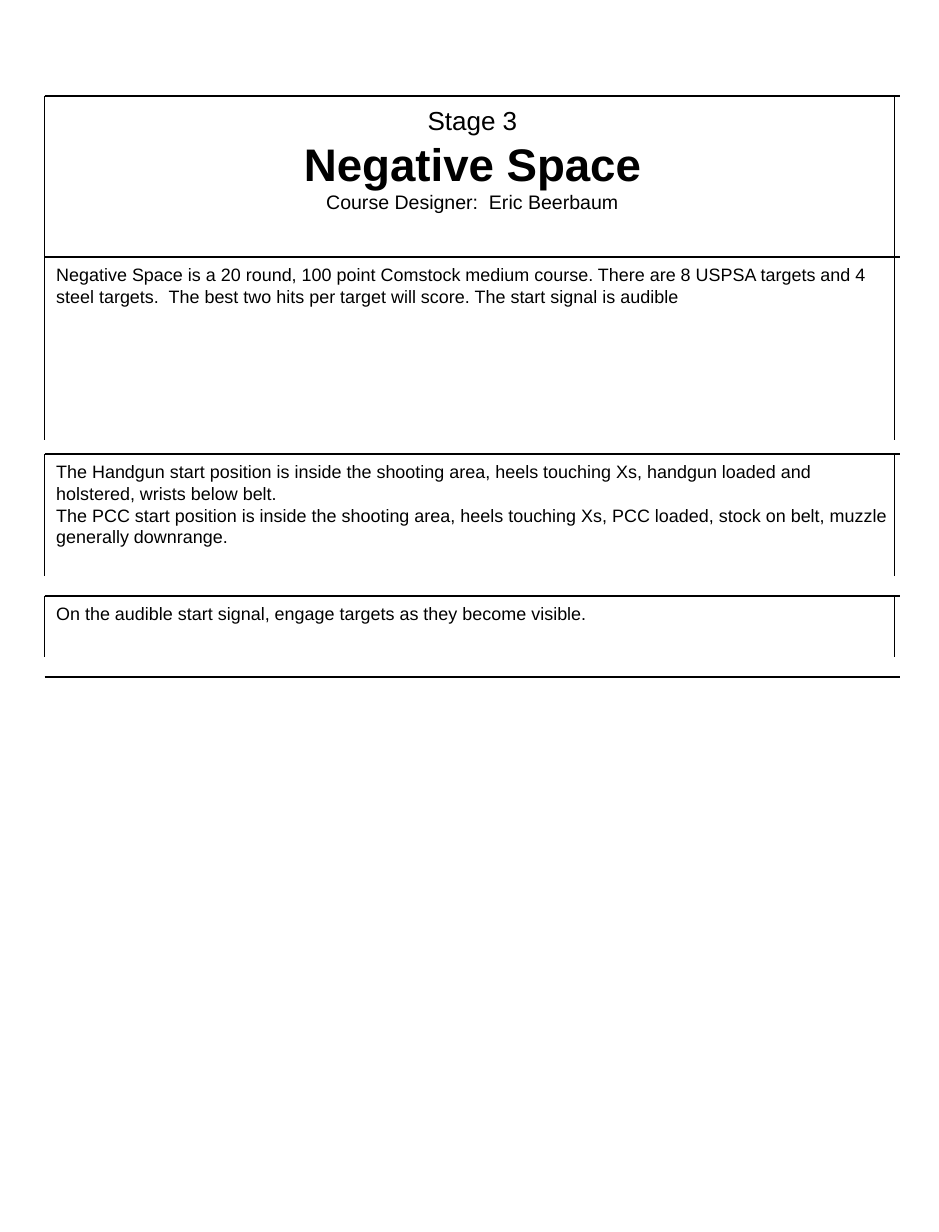
from dataclasses import dataclass

from lxml import etree
from pptx import Presentation
from pptx.dml.color import RGBColor
from pptx.enum.shapes import MSO_CONNECTOR
from pptx.enum.text import MSO_ANCHOR, PP_ALIGN
from pptx.oxml.ns import qn
from pptx.util import Inches, Pt

STRAIGHT = MSO_CONNECTOR.STRAIGHT
TOP = MSO_ANCHOR.TOP
LEFT, CENTER = PP_ALIGN.LEFT, PP_ALIGN.CENTER


@dataclass(frozen=True)
class Theme:
    font: str = "Arial"
    ink: RGBColor = RGBColor(0, 0, 0)
    stage: int = 16
    title: int = 28
    designer: int = 12
    body: int = 11
    rule: float = 0.91


THEME = Theme()
LEFT_X, INNER_X, RIGHT_X = 0.38, 7.62, 7.67
BOTTOM_Y = 5.77

HEADING = [
    ("Stage 3", THEME.stage, False),
    ("Negative Space", THEME.title, True),
    ("Course Designer:  Eric Beerbaum", THEME.designer, False),
]
COURSE = [
    "Negative Space is a 20 round, 100 point Comstock medium course. "
    "There are 8 USPSA targets and 4 steel targets.  The best two hits "
    "per target will score. The start signal is audible",
]
START_POSITION = [
    "The Handgun start position is inside the shooting area, heels touching "
    "Xs, handgun loaded and holstered, wrists below belt.",
    "The PCC start position is inside the shooting area, heels touching Xs, "
    "PCC loaded, stock on belt, muzzle generally downrange.",
]
PROCEDURE = [
    "On the audible start signal, engage targets as they become visible.",
]


def body(texts):
    return [(text, THEME.body, False) for text in texts]


SECTIONS = [
    (0.82, 1.56, HEADING, CENTER, 0.07),
    (2.19, 1.56, body(COURSE), LEFT, 0.06),
    (3.87, 1.04, body(START_POSITION), LEFT, 0.06),
    (5.08, 0.52, body(PROCEDURE), LEFT, 0.06),
]


def add_text(slide, top, height, lines, align, inset_top):
    sp = slide.shapes.add_textbox(Inches(LEFT_X), Inches(top),
                                  Inches(RIGHT_X - LEFT_X), Inches(height))
    tf = sp.text_frame
    tf.word_wrap = True
    tf.vertical_anchor = TOP
    tf.margin_left = tf.margin_right = Inches(0.1)
    tf.margin_top, tf.margin_bottom = Inches(inset_top), Inches(0.05)
    for i, (text, size, bold) in enumerate(lines):
        p = tf.add_paragraph() if i else tf.paragraphs[0]
        p.text = text
        p.alignment = align
        font = p.runs[0].font
        font.name, font.size, font.bold = THEME.font, Pt(size), bold
        font.color.rgb = THEME.ink


def add_rule(slide, x1, y1, x2, y2):
    line = slide.shapes.add_connector(STRAIGHT, Inches(x1), Inches(y1),
                                      Inches(x2), Inches(y2))
    line.line.color.rgb = THEME.ink
    line.line.width = Pt(THEME.rule)
    etree.SubElement(line._element.spPr, qn("a:effectLst"))


def main():
    prs = Presentation()
    prs.slide_width, prs.slide_height = Inches(8), Inches(10.5)
    slide = prs.slides.add_slide(prs.slide_layouts[6])
    for section in SECTIONS:
        add_text(slide, *section)
    for y in [section[0] for section in SECTIONS] + [BOTTOM_Y]:
        add_rule(slide, LEFT_X, y, RIGHT_X, y)
    for x in (LEFT_X, INNER_X):
        for top, height, *_ in SECTIONS:
            add_rule(slide, x, top, x, top + height)
    prs.save("out.pptx")


if __name__ == "__main__":
    main()
